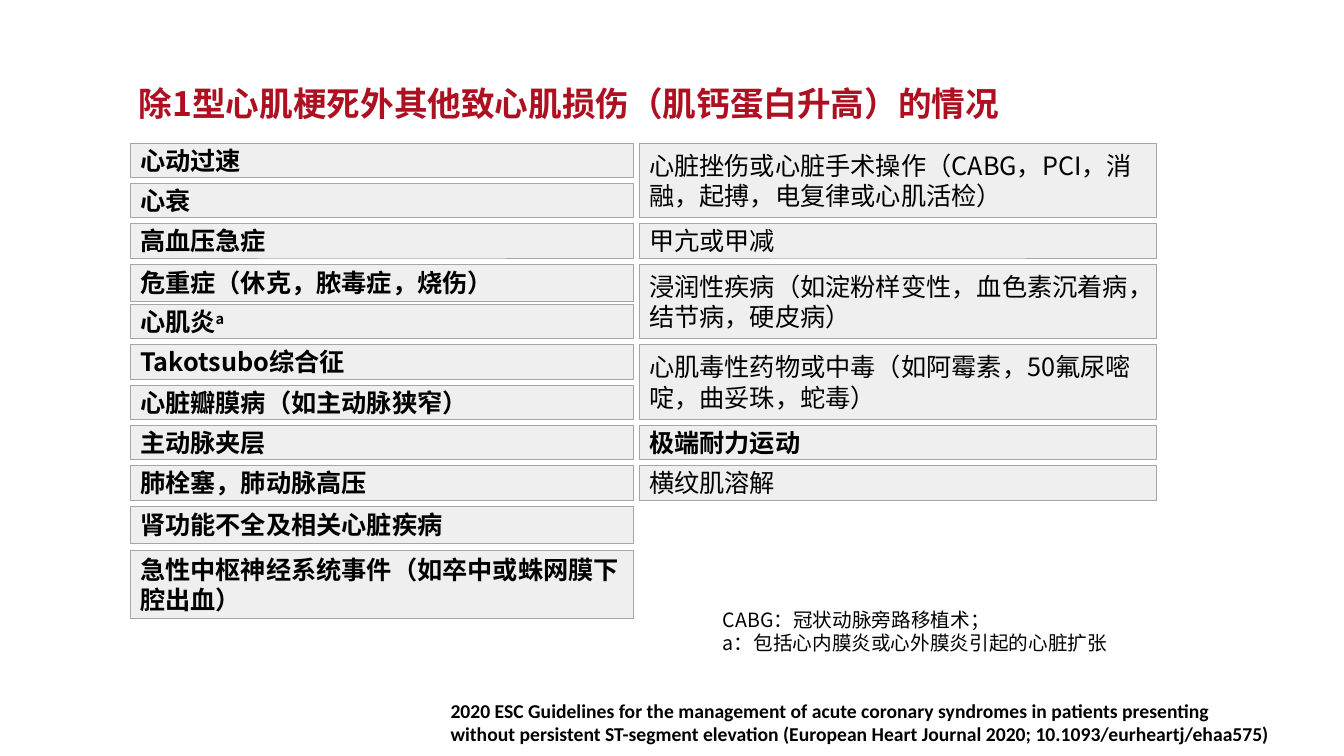
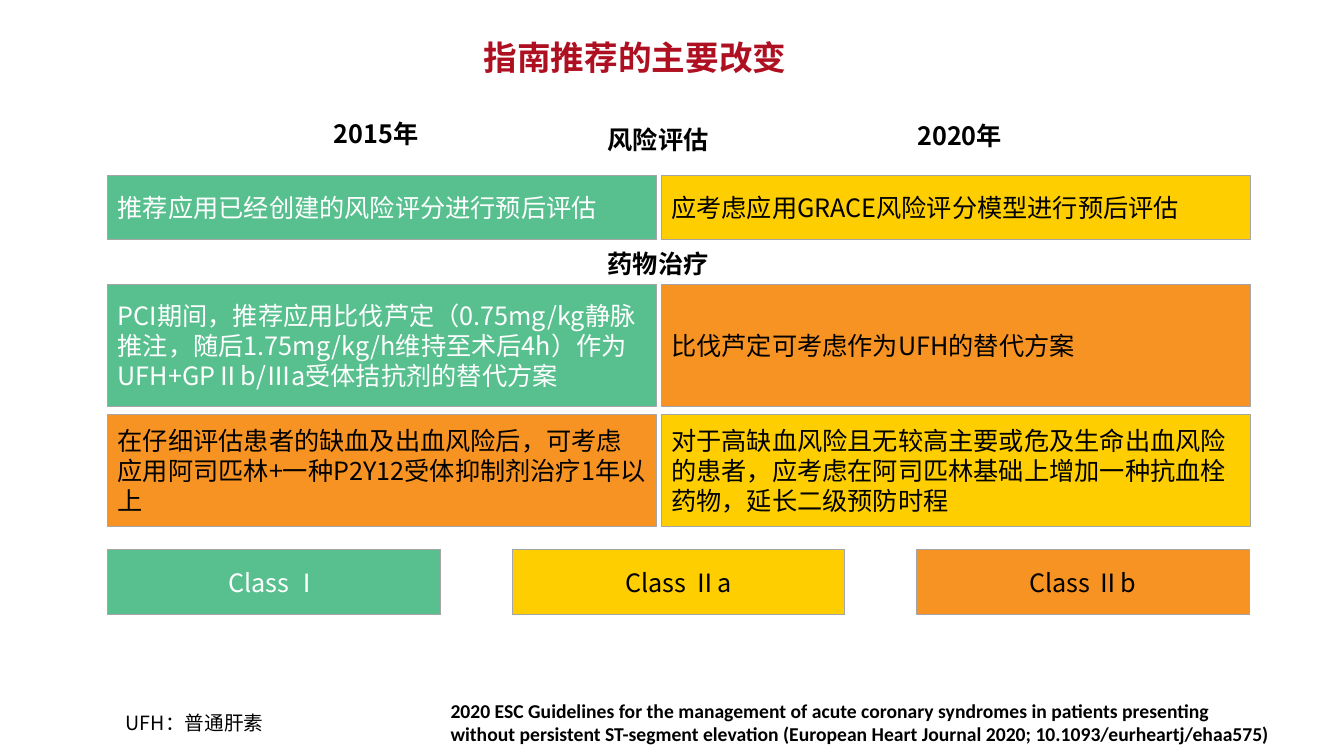
import pptx
import pptx.util
import pptx.dml.color
import pptx.enum.lang
import pptx.enum.shapes
import pptx.enum.text
import pptx.oxml.ns
from lxml import etree

COLORS = {
    "title": "AE1022", "black": "000000", "white": "FFFFFF", "grey": "EFEFEF",
    "border": "A5A5A5", "green": "58C08F", "yellow": "FECE00", "orange": "F79323",
}
CJK = "Noto Sans CJK SC"
PLAIN = {"size": pptx.util.Pt(18), "bold": False, "name": CJK,
         "language_id": pptx.enum.lang.MSO_LANGUAGE_ID.SIMPLIFIED_CHINESE}
BOLD = PLAIN | {"bold": True}
TITLE = BOLD | {"size": pptx.util.Pt(24)}
NOTE = PLAIN | {"size": pptx.util.Pt(14)}
SOURCE = {"size": pptx.util.Pt(14), "bold": True, "name": "Calibri",
          "language_id": pptx.enum.lang.MSO_LANGUAGE_ID.ENGLISH_US}
LEFT = pptx.enum.text.PP_ALIGN.LEFT
CENTER = pptx.enum.text.PP_ALIGN.CENTER
CITATION = ("2020 ESC Guidelines for the management of acute coronary syndromes in patients "
            "presenting without persistent ST-segment elevation "
            "(European Heart Journal 2020; 10.1093/eurheartj/ehaa575)")


def write(frame, text, style, color, align=LEFT):
    """Fill a frame: a line break starts a paragraph, ^ starts a superscript."""
    frame.word_wrap = True
    for number, line in enumerate(text.split("\n")):
        paragraph = frame.paragraphs[0] if number == 0 else frame.add_paragraph()
        paragraph.alignment = align
        base, _, raised = line.partition("^")
        for part in filter(None, (base, raised)):
            run = paragraph.add_run()
            run.text = part
            for attribute, value in style.items():
                setattr(run.font, attribute, value)
            run.font.color.rgb = pptx.dml.color.RGBColor.from_string(COLORS[color])
            properties = run._r.get_or_add_rPr()
            east_asian = etree.SubElement(properties, pptx.oxml.ns.qn("a:ea"))
            east_asian.set("typeface", style["name"])
            if part is raised:
                properties.set("baseline", "30000")


def add_box(slide, place, text, fill="white", style=PLAIN, align=LEFT):
    """Add a rectangle with text; coloured ones get a thin border."""
    box = slide.shapes.add_shape(pptx.enum.shapes.MSO_SHAPE.RECTANGLE,
                                 *map(pptx.util.Inches, place))
    box.shadow.inherit = False
    box.fill.solid()
    box.fill.fore_color.rgb = pptx.dml.color.RGBColor.from_string(COLORS[fill])
    if fill == "white":
        box.line.fill.background()
    else:
        box.line.color.rgb = pptx.dml.color.RGBColor.from_string(COLORS["border"])
        box.line.width = pptx.util.Pt(0.5)
    box.text_frame.vertical_anchor = pptx.enum.text.MSO_ANCHOR.MIDDLE
    write(box.text_frame, text, style, "white" if fill == "green" else "black", align)


deck = pptx.Presentation()
deck.slide_width = pptx.util.Inches(13.33)
deck.slide_height = pptx.util.Inches(7.5)

# Title and citation of both slides
slides = []
for heading, place in [
    ("除1型心肌梗死外其他致心肌损伤（肌钙蛋白升高）的情况", (1.28, 0.77, 10.06, 0.5)),
    ("指南推荐的主要改变", (4.7, 0.32, 3.33, 0.5)),
]:
    slide = deck.slides.add_slide(deck.slide_layouts[6])
    title = slide.shapes.add_textbox(*map(pptx.util.Inches, place))
    write(title.text_frame, heading, TITLE, "title")
    title.text_frame.auto_size = pptx.enum.text.MSO_AUTO_SIZE.SHAPE_TO_FIT_TEXT
    add_box(slide, (4.37, 6.91, 8.37, 0.51), CITATION, style=SOURCE)
    slides.append(slide)
conditions, changes = slides

# Causes of myocardial injury: start row, rows spanned, text, style
GRID_TOP, ROW, GAP = 1.42, 0.4, 0.06
left_causes = [
    (0, 1, "心动过速", BOLD),
    (1, 1, "心衰", BOLD),
    (2, 1, "高血压急症", BOLD),
    (3, 1.07, "危重症（休克，脓毒症，烧伤）", BOLD),
    (4, 1, "心肌炎^a", BOLD),
    (5, 1, "Takotsubo综合征", BOLD),
    (6, 1, "心脏瓣膜病（如主动脉狭窄）", BOLD),
    (7, 1, "主动脉夹层", BOLD),
    (8, 1, "肺栓塞，肺动脉高压", BOLD),
    (9, 1.07, "肾功能不全及相关心脏疾病", BOLD),
    (10.1, 1.85, "急性中枢神经系统事件（如卒中或蛛网膜下腔出血）", BOLD),
]
right_causes = [
    (0, 2, "心脏挫伤或心脏手术操作（CABG，PCI，消融，起搏，电复律或心肌活检）", PLAIN),
    (2, 1, "甲亢或甲减", PLAIN),
    (3, 2, "浸润性疾病（如淀粉样变性，血色素沉着病，结节病，硬皮病）", PLAIN),
    (5, 2, "心肌毒性药物或中毒（如阿霉素，50氟尿嘧啶，曲妥珠，蛇毒）", PLAIN),
    (7, 1, "极端耐力运动", BOLD),
    (8, 1, "横纹肌溶解", PLAIN),
]
for left, width, causes in [(1.29, 4.99, left_causes), (6.34, 5.13, right_causes)]:
    for row, span, cause, style in causes:
        add_box(conditions, (left, GRID_TOP + row * ROW, width, span * ROW - GAP),
                cause, "grey", style)
add_box(conditions, (7.07, 6.07, 4.68, 0.38),
        "CABG：冠状动脉旁路移植术；\na：包括心内膜炎或心外膜炎引起的心脏扩张", style=NOTE)

# Changes from 2015 to 2020: headings, then one pair of boxes per row
for heading, place in [
    ("2015年", (3.21, 1.1, 1.27, 0.44)),
    ("2020年", (9, 1.12, 1.09, 0.44)),
    ("风险评估", (5.93, 1.16, 1.27, 0.44)),
    ("药物治疗", (5.93, 2.41, 1.27, 0.4)),
]:
    add_box(changes, place, heading, style=BOLD)

year_columns = [(1.07, 5.44), (6.56, 5.84)]
recommendations = [
    (1.74, 0.64, [
        ("green", "推荐应用已经创建的风险评分进行预后评估"),
        ("yellow", "应考虑应用GRACE风险评分模型进行预后评估")]),
    (2.82, 1.21, [
        ("green", "PCI期间，推荐应用比伐芦定（0.75mg/kg静脉推注，随后1.75mg/kg/h维持至术后4h）"
                  "作为UFH+GPⅡb/Ⅲa受体拮抗剂的替代方案"),
        ("orange", "比伐芦定可考虑作为UFH的替代方案")]),
    (4.11, 1.11, [
        ("orange", "在仔细评估患者的缺血及出血风险后，可考虑应用阿司匹林+一种P2Y12受体抑制剂治疗1年以上"),
        ("yellow", "对于高缺血风险且无较高主要或危及生命出血风险的患者，"
                   "应考虑在阿司匹林基础上增加一种抗血栓药物，延长二级预防时程")]),
]
for top, height, pair in recommendations:
    for (left, width), (fill, advice) in zip(year_columns, pair):
        add_box(changes, (left, top, width, height), advice, fill)

# Legend of recommendation classes
for column, (fill, label) in enumerate(
        [("green", "Class Ⅰ"), ("yellow", "Class Ⅱa"), ("orange", "Class Ⅱb")]):
    add_box(changes, (1.07 + column * 4.01, 5.45, 3.3, 0.65), label, fill, align=CENTER)
add_box(changes, (1.15, 6.91, 1.73, 0.51), "UFH：普通肝素", style=NOTE)

deck.save("out.pptx")
